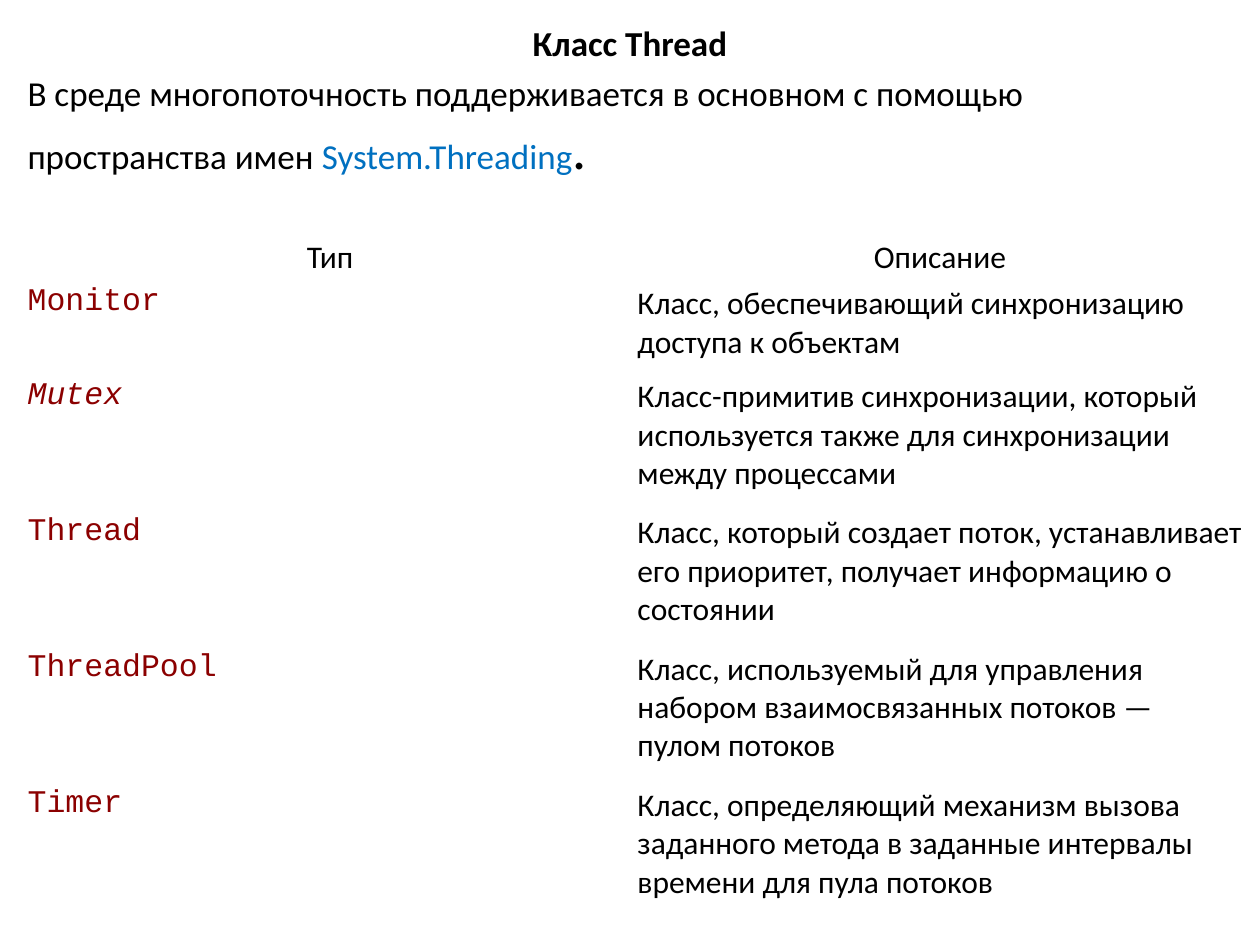
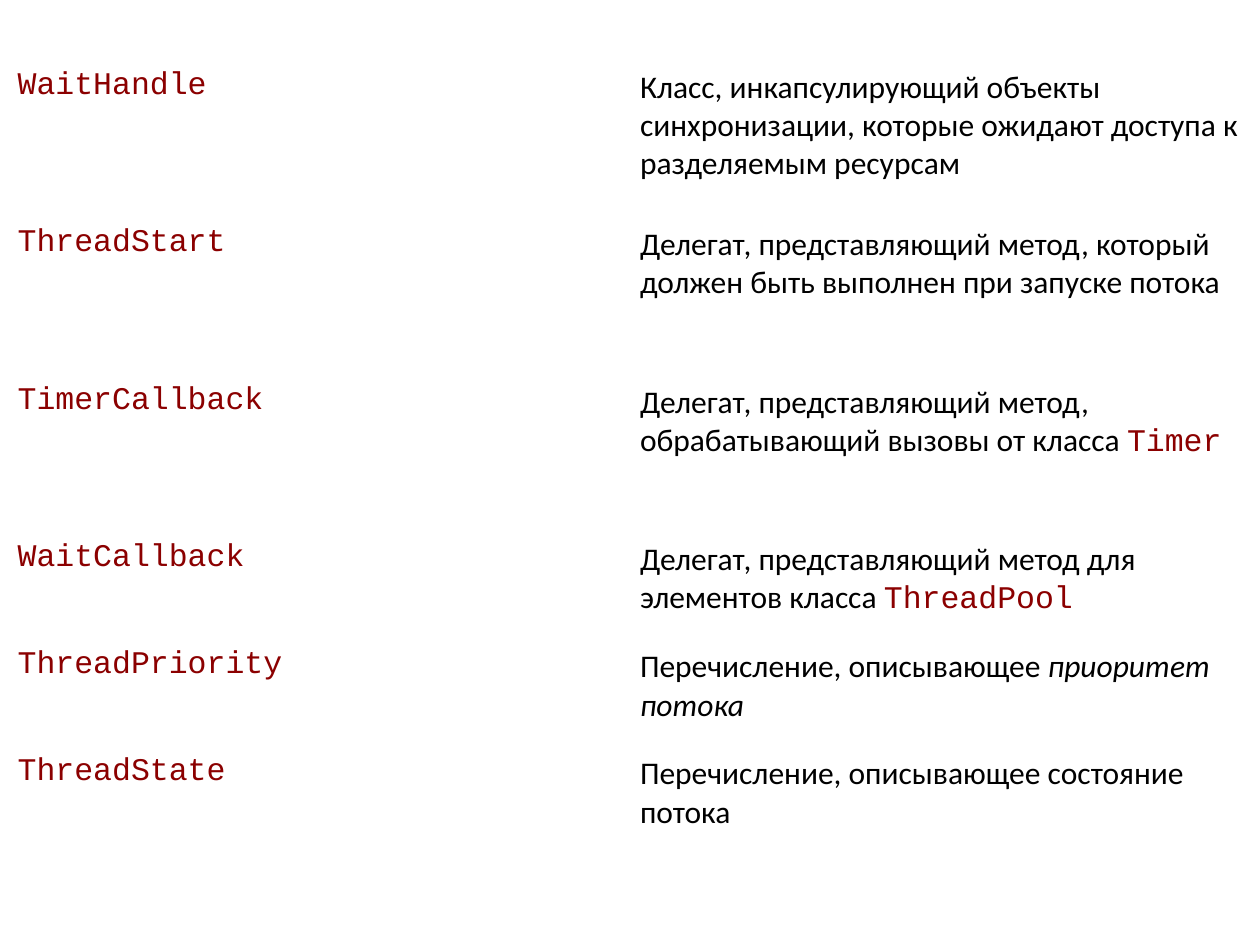
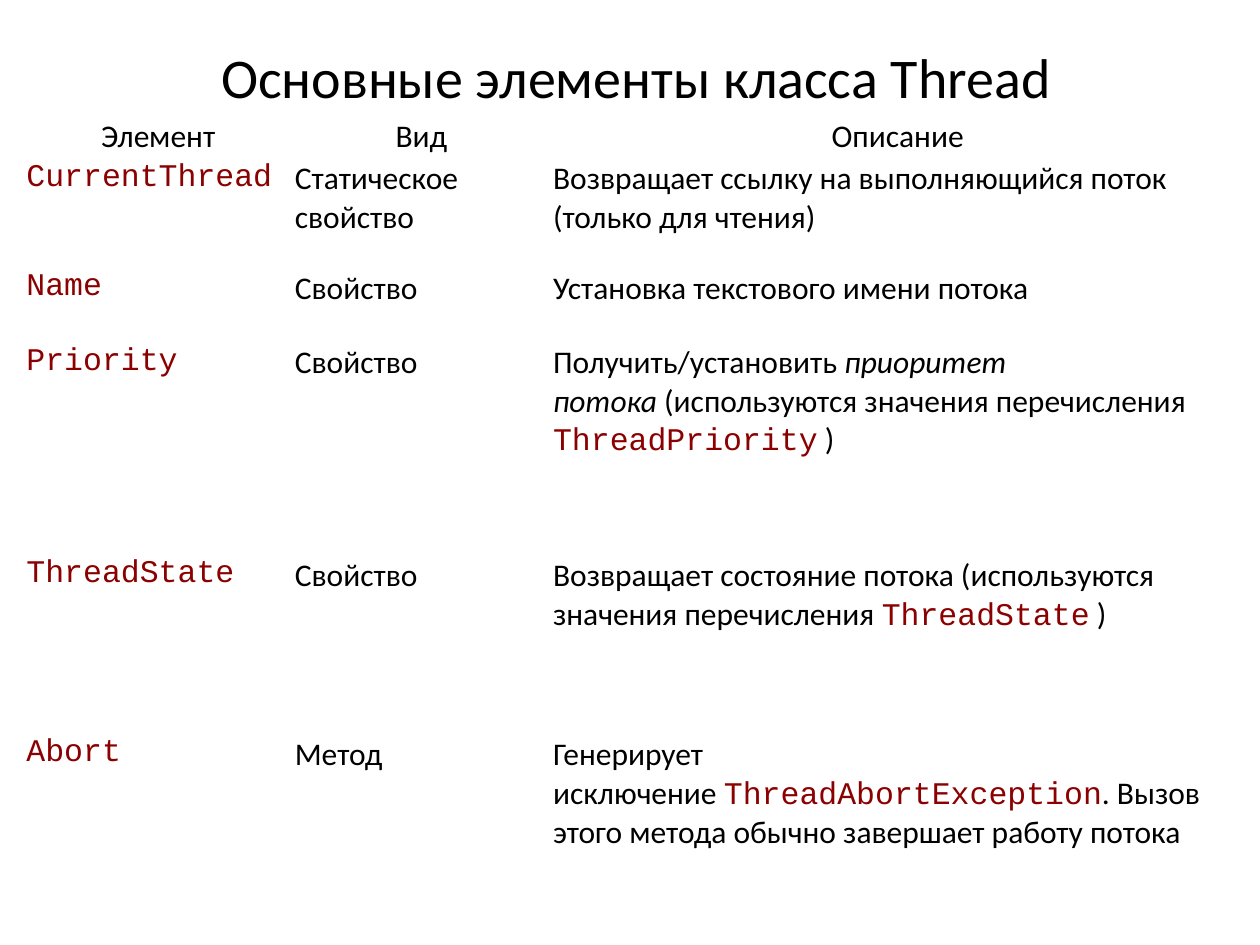
from pptx import Presentation
from pptx.util import Inches, Pt
from pptx.dml.color import RGBColor as RGB
from pptx.enum.text import PP_ALIGN as AL, MSO_ANCHOR as ANC

COLORS = {"text": "000000", "code": "8B0000", "link": "0070C0", "cell": "FFFFFF"}
FONT, CODE_FONT = "Calibri", "Courier New"
CELL_SIZE, CELL_MARGIN = Pt(18), Inches(0.02)

prs = Presentation()
prs.slide_width, prs.slide_height = Inches(10), Inches(7.5)
blank = prs.slide_layouts[6]


def add_text(s, box, runs, align=AL.LEFT, anchor=ANC.TOP, bold=False, before=0):
    """One paragraph; runs are (text, size, colour)."""
    tf = s.shapes.add_textbox(*map(Inches, box)).text_frame
    tf.word_wrap = True
    tf.vertical_anchor = anchor
    p = tf.paragraphs[0]
    p.alignment = align
    p.space_before = Pt(before)
    p.font.name = FONT
    p.font.bold = bold
    for text, size, color in runs:
        r = p.add_run()
        r.text = text
        r.font.size = Pt(size)
        r.font.color.rgb = RGB.from_string(COLORS[color])


def add_grid(s, box, widths, heights, rows, header=True):
    """Table whose cells mark code with `...` and italics with *...*."""
    tbl = s.shapes.add_table(len(rows), len(widths), *map(Inches, box)).table
    tbl.first_row = tbl.horz_banding = False
    for col, width in zip(tbl.columns, widths):
        col.width = Inches(width)
    for i, (row, height) in enumerate(zip(rows, heights)):
        tbl.rows[i].height = Inches(height)
        for j, text in enumerate(row):
            cell = tbl.cell(i, j)
            cell.margin_left = cell.margin_right = CELL_MARGIN
            cell.margin_top = cell.margin_bottom = CELL_MARGIN
            cell.fill.solid()
            cell.fill.fore_color.rgb = RGB.from_string(COLORS["cell"])
            p = cell.text_frame.paragraphs[0]
            p.font.size = CELL_SIZE
            if header and i == 0:
                p.alignment = AL.CENTER
                cell.vertical_anchor = ANC.MIDDLE
            for m, part in enumerate(text.split("`")):
                for n, piece in enumerate(part.split("*")):
                    if piece:
                        r = p.add_run()
                        r.text = piece
                        r.font.size = CELL_SIZE
                        r.font.name = CODE_FONT if m % 2 else FONT
                        r.font.italic = n % 2 == 1
                        r.font.color.rgb = RGB.from_string(COLORS["code" if m % 2 else "text"])


# Slide 1: threading types
s = prs.slides.add_slide(blank)
add_text(s, (0.5, 0, 9, 0.68), [("Класс Thread", 20, "text")],
         align=AL.CENTER, anchor=ANC.MIDDLE, bold=True)
add_text(s, (0.12, 0.52, 9.69, 6.85), [
    ("В среде многопоточность поддерживается в основном с помощью пространства имен ", 20, "text"),
    ("System.Threading", 20, "link"),
    (".", 32, "text"),
], before=4)
add_grid(s, (0.2, 1.85, 9.69, 5.44), [4.84] * 2, [0.39, 0.74] + [1.08] * 4, [
    ("Тип", "Описание"),
    ("`Monitor`", "Класс, обеспечивающий синхронизацию доступа к объектам"),
    ("`*Mutex*`", "Класс-примитив синхронизации, который используется также "
                  "для синхронизации между процессами"),
    ("`Thread`", "Класс, который создает поток, устанавливает его приоритет, "
                 "получает информацию о состоянии"),
    ("`ThreadPool`", "Класс, используемый для управления набором "
                     "взаимосвязанных потоков — пулом потоков"),
    ("`Timer`", "Класс, определяющий механизм вызова заданного метода "
                "в заданные интервалы времени для пула потоков"),
])

# Slide 2: threading types, continued
s = prs.slides.add_slide(blank)
add_grid(s, (0.12, 0.52, 9.88, 6.3), [4.94] * 2, [1.25] * 3 + [0.85] * 3, [
    ("`WaitHandle`", "Класс, инкапсулирующий объекты синхронизации, "
                     "которые ожидают доступа к разделяемым ресурсам"),
    ("`ThreadStart`", "Делегат, представляющий метод, который должен быть "
                      "выполнен при запуске потока"),
    ("`TimerCallback`", "Делегат, представляющий метод, обрабатывающий "
                        "вызовы от класса\u00a0`Timer`"),
    ("`WaitCallback`", "Делегат, представляющий метод для элементов класса\u00a0`ThreadPool`"),
    ("`ThreadPriority`", "Перечисление, описывающее\u00a0*приоритет потока*"),
    ("`ThreadState`", "Перечисление, описывающее состояние потока"),
], header=False)

# Slide 3: members of the Thread class
s = prs.slides.add_slide(blank)
add_text(s, (0.5, 0.29, 9, 6.41),
         [("\u00a0Основные элементы класса\u00a0Thread", 32, "text")],
         align=AL.CENTER, before=6.4)
add_grid(s, (0.19, 0.91, 9.69, 6.32), [2.13, 2.05, 5.51],
         [0.31, 0.87, 0.59, 1.69, 1.42, 1.42], [
    ("Элемент", "Вид", "Описание"),
    ("`CurrentThread`", "Статическое свойство",
     "Возвращает ссылку на выполняющийся поток (только для чтения)"),
    ("`Name`", "Свойство", "Установка текстового имени потока"),
    ("`Priority`", "Свойство",
     "Получить/установить\u00a0*приоритет потока*\u00a0(используются значения "
     "перечисления `ThreadPriority`\u00a0)"),
    ("`ThreadState`", "Свойство",
     "Возвращает состояние потока (используются значения перечисления `ThreadState`\u00a0)"),
    ("`Abort`", "Метод",
     "Генерирует исключение\u00a0`ThreadAbortException`. Вызов этого метода "
     "обычно завершает работу потока"),
])

prs.save("out.pptx")
